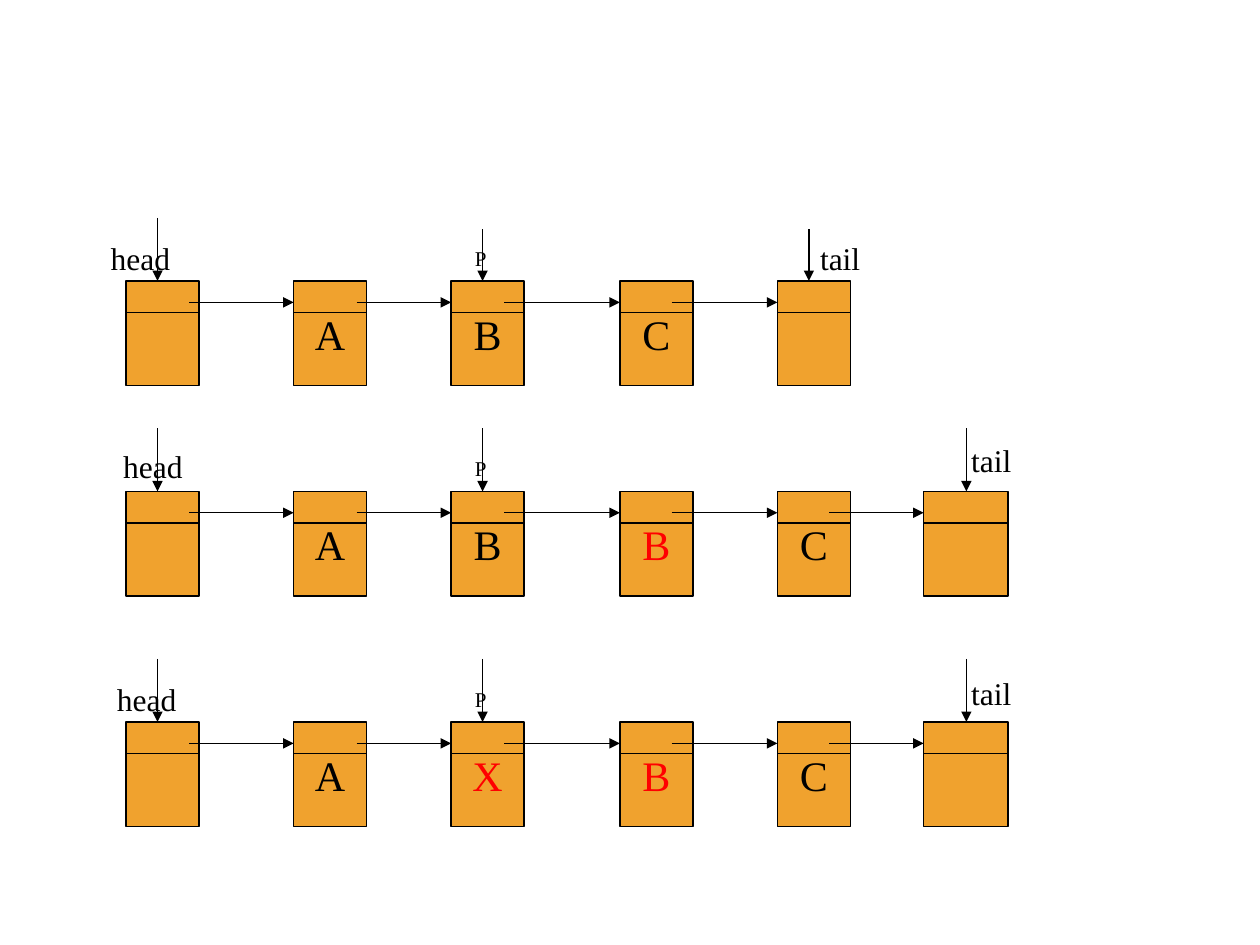
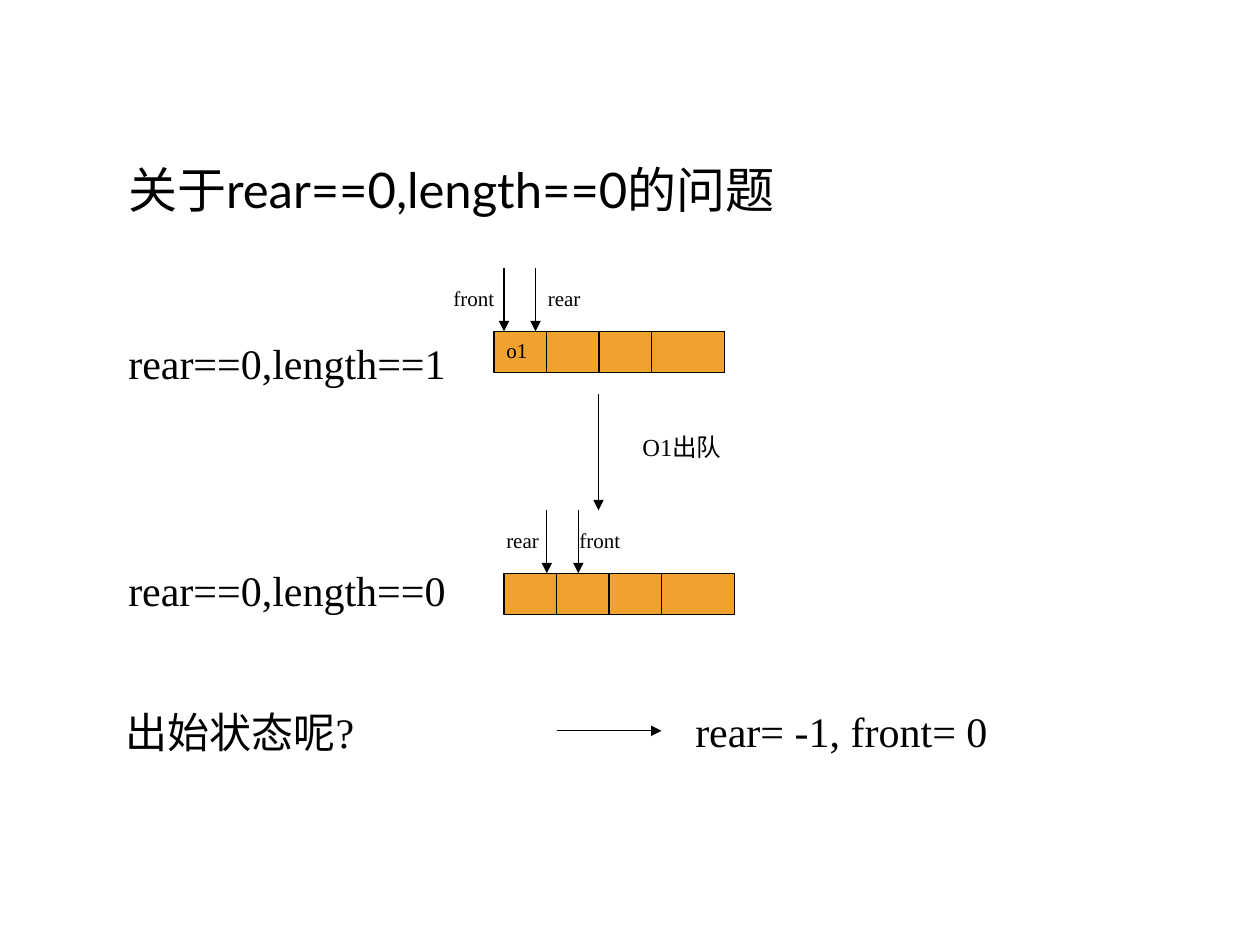
from lxml import etree
from pptx import Presentation
from pptx.dml.color import RGBColor
from pptx.enum.shapes import MSO_CONNECTOR, MSO_SHAPE
from pptx.enum.text import MSO_ANCHOR, MSO_AUTO_SIZE, PP_ALIGN
from pptx.oxml.ns import qn
from pptx.util import Inches, Pt

RECT, STRAIGHT = MSO_SHAPE.RECTANGLE, MSO_CONNECTOR.STRAIGHT
MIDDLE, CENTER = MSO_ANCHOR.MIDDLE, PP_ALIGN.CENTER
GROW = MSO_AUTO_SIZE.SHAPE_TO_FIT_TEXT

ORANGE = RGBColor(0xF0, 0xA2, 0x2E)
BLACK = RGBColor(0, 0, 0)
RED = RGBColor(0xFF, 0, 0)
SERIF, SANS = "Times New Roman", "Lato"
LINE_WIDTH = Pt(0.74)

# Linked list: node columns, size and where each outgoing arrow begins
NODE_X = [1, 2.33, 3.58, 4.92, 6.17, 7.33]
LINK_X = [1.5, 2.83, 4, 5.33, 6.58]
NODE_W, NODE_H = 0.58, 0.83
SPLIT_Y, LINK_Y = 0.25, 0.17

# Queue: box size and cell width
QUEUE_W, QUEUE_H, CELL_W = 1.83, 0.33, 0.417
POINTER_H = 0.5


def add_run(p, text, size, font=SERIF, color=BLACK):
    r = p.add_run()
    r.text = text
    r.font.size = Pt(size)
    r.font.name = font
    r.font.color.rgb = color


def add_text(s, text, x, y, w, h, size, font=SERIF, grow=True):
    tf = s.shapes.add_textbox(Inches(x), Inches(y), Inches(w), Inches(h)).text_frame
    tf.word_wrap = True
    if grow:
        tf.auto_size = GROW
    p = tf.paragraphs[0]
    p.space_before = Pt(size * 0.625)
    add_run(p, text, size, font)
    return p


def add_box(s, x, y, w, h, text="", color=BLACK):
    sp = s.shapes.add_shape(RECT, Inches(x), Inches(y), Inches(w), Inches(h))
    sp.shadow.inherit = False
    sp.fill.solid()
    sp.fill.fore_color.rgb = ORANGE
    sp.line.color.rgb = BLACK
    sp.line.width = LINE_WIDTH
    if text:
        tf = sp.text_frame
        tf.word_wrap = False
        tf.vertical_anchor = MIDDLE
        p = tf.paragraphs[0]
        p.alignment = CENTER
        add_run(p, text, 24, color=color)


def add_line(s, x1, y1, x2, y2, arrow=False):
    line = s.shapes.add_connector(STRAIGHT, Inches(x1), Inches(y1), Inches(x2), Inches(y2))
    line.line.color.rgb = BLACK
    line.line.width = LINE_WIDTH
    props = line._element.spPr
    if arrow:
        etree.SubElement(props.find(qn("a:ln")), qn("a:tailEnd"), type="triangle")
    etree.SubElement(props, qn("a:effectLst"))


def linked_list(s, top, values, pointers, labels):
    """Draw nodes at top; pointers are (x, length), labels (text, x, y, w, size)."""
    last = len(values) - 1
    for i, (value, color) in enumerate(values):
        x = NODE_X[i]
        w = 0.67 if i == 5 else NODE_W
        add_box(s, x, top, w, NODE_H, value, color)
        add_line(s, x, top + SPLIT_Y, x + w, top + SPLIT_Y)
    for i in range(last):
        add_line(s, LINK_X[i], top + LINK_Y, NODE_X[i + 1], top + LINK_Y, arrow=True)
    for x, length in pointers:
        add_line(s, x, top - length, x, top, arrow=True)
    for text, x, y, w, size in labels:
        add_text(s, text, x, y, w, 0.3 if size == 12 else 0.4, size)


def queue(s, x, y, pointers, labels):
    """Draw a four-cell queue; pointers are x places, labels (text, x)."""
    add_box(s, x, y, QUEUE_W, QUEUE_H)
    for i in range(1, 4):
        add_line(s, x + i * CELL_W, y, x + i * CELL_W, y + QUEUE_H)
    for px in pointers:
        add_line(s, px, y - POINTER_H, px, y, arrow=True)
    for text, lx in labels:
        add_text(s, text, lx, y - 0.415, 0.67, 0.3, 12)


def insertion_slide(prs):
    s = prs.slides.add_slide(prs.slide_layouts[6])
    end, a, b, c = ("", BLACK), ("A", BLACK), ("B", BLACK), ("C", BLACK)
    new_b, new_x = ("B", RED), ("X", RED)
    # List before insertion
    linked_list(s, 2.23, [end, a, b, c, end],
                [(1.25, 0.5), (3.83, 0.41), (6.42, 0.41)],
                [("head", 0.78, 1.85, 0.83, 18), ("P", 3.67, 1.9, 0.5, 12),
                 ("tail", 6.41, 1.85, 0.75, 18)])
    # B duplicated after P, then X stored at P
    pointers = [(1.25, 0.5), (3.83, 0.5), (7.67, 0.5)]
    linked_list(s, 3.9, [end, a, b, new_b, c, end], pointers,
                [("head", 0.88, 3.5, 0.83, 18), ("P", 3.67, 3.57, 0.42, 12),
                 ("tail", 7.61, 3.45, 0.89, 18)])
    linked_list(s, 5.73, [end, a, new_x, new_b, c, end], pointers,
                [("head", 0.83, 5.35, 0.83, 18), ("P", 3.67, 5.4, 0.42, 12),
                 ("tail", 7.61, 5.3, 0.89, 18)])


def queue_slide(prs):
    s = prs.slides.add_slide(prs.slide_layouts[6])
    # Heading with a hanging indent
    p = add_text(s, "关于rear==0,length==0的问题", 0.92, 1.22, 9, 6.28, 28, SANS, grow=False)
    indent = p._p.get_or_add_pPr()
    indent.set("marL", str(Inches(0.38)))
    indent.set("indent", str(-Inches(0.38)))
    # Queue holding one element
    queue(s, 3.92, 2.63, [4, 4.25], [("front", 3.5), ("rear", 4.25)])
    add_text(s, "o1", 3.92, 2.63, 0.58, 0.3, 12)
    add_text(s, "rear==0,length==1", 0.92, 2.63, 2.75, 0.5, 24)
    # Dequeue step
    add_line(s, 4.75, 3.13, 4.75, 4.05, arrow=True)
    add_text(s, "O1出队", 5, 3.38, 1.5, 0.34, 14)
    # Empty queue
    queue(s, 4, 4.55, [4.34, 4.59], [("rear", 3.92), ("front", 4.5)])
    add_text(s, "rear==0,length==0", 0.92, 4.43, 2.83, 0.5, 24)
    # Initial state
    add_text(s, "出始状态呢?", 0.9, 5.56, 2.77, 0.5, 24)
    add_line(s, 4.42, 5.8, 5.25, 5.8, arrow=True)
    add_text(s, "rear= -1, front= 0", 5.42, 5.55, 2.83, 0.5, 24)


prs = Presentation()
prs.slide_width, prs.slide_height = Inches(10), Inches(7.5)
insertion_slide(prs)
queue_slide(prs)
prs.save("out.pptx")
